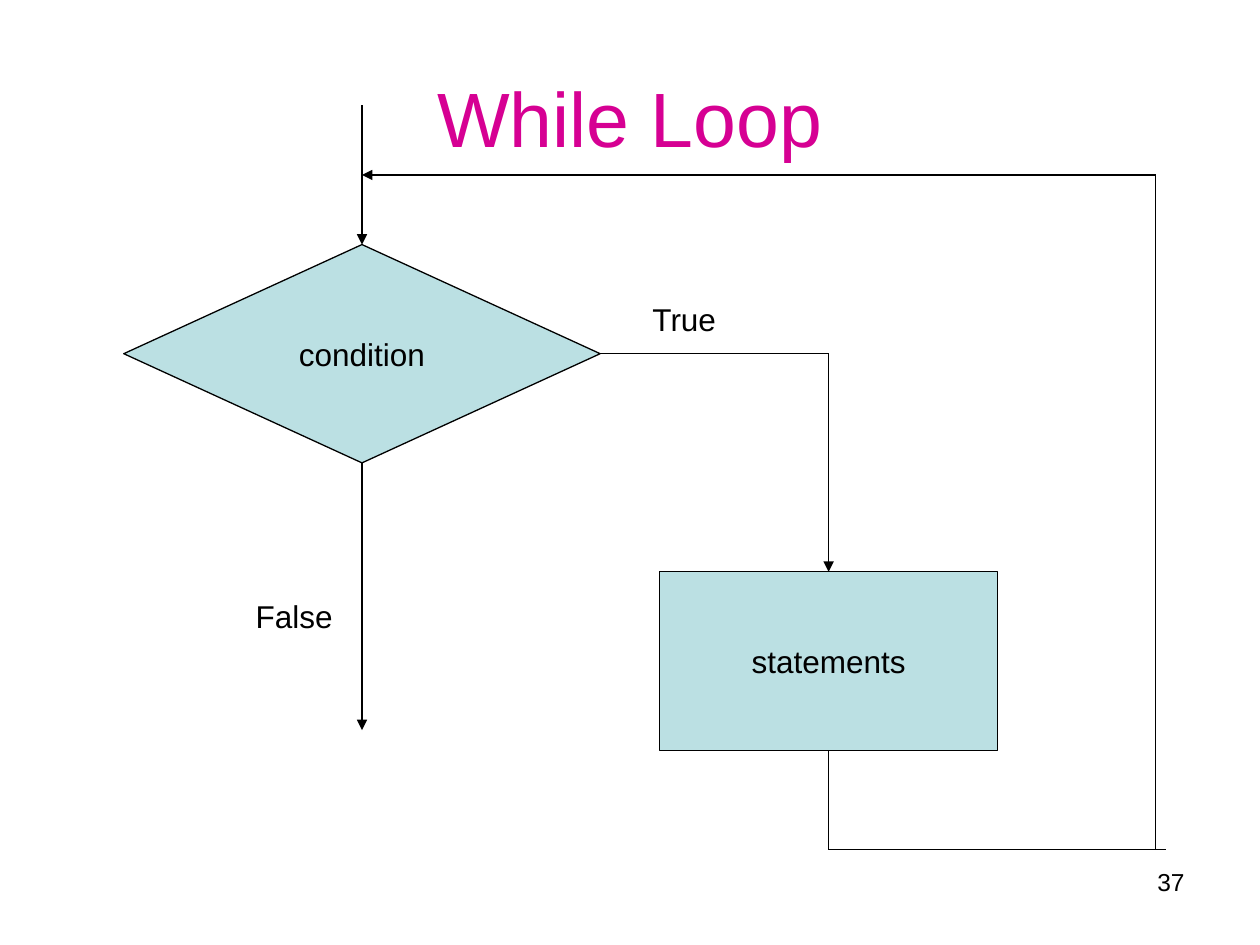
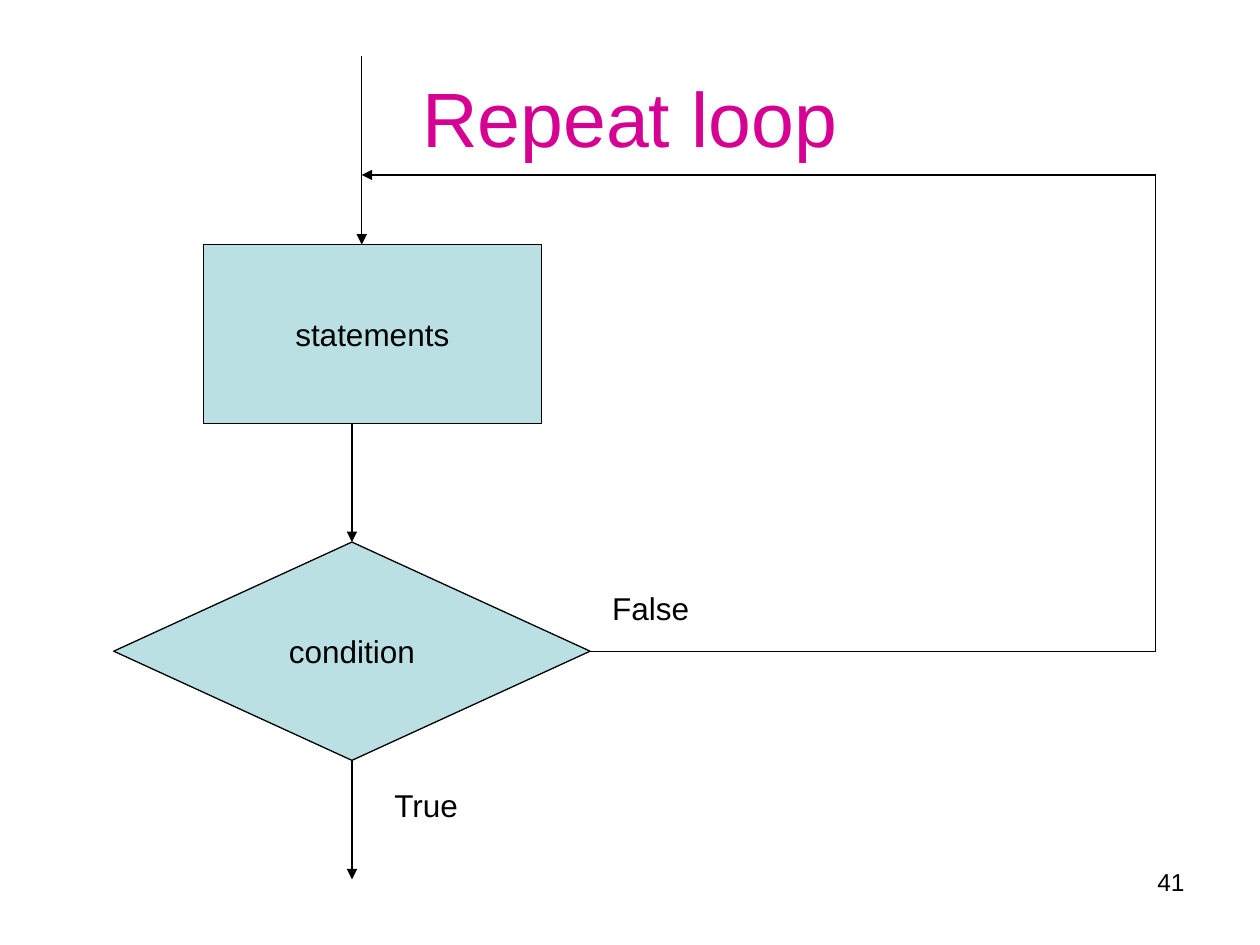
from collections import namedtuple
from itertools import pairwise

from lxml import etree
from pptx import Presentation
from pptx.dml.color import RGBColor
from pptx.enum.shapes import MSO_CONNECTOR, MSO_SHAPE
from pptx.enum.text import MSO_ANCHOR, MSO_AUTO_SIZE, PP_ALIGN
from pptx.oxml.ns import qn
from pptx.util import Pt

STRAIGHT = MSO_CONNECTOR.STRAIGHT
PROCESS = MSO_SHAPE.FLOWCHART_PROCESS
DECISION = MSO_SHAPE.FLOWCHART_DECISION
MIDDLE = MSO_ANCHOR.MIDDLE
LEFT, CENTER, RIGHT = PP_ALIGN.LEFT, PP_ALIGN.CENTER, PP_ALIGN.RIGHT
FIT_SHAPE = MSO_AUTO_SIZE.SHAPE_TO_FIT_TEXT

COLORS = {"title": "D60093", "node": "BBE0E3", "ink": "000000"}
FONT = "Arial"
BODY_SIZE = 18
LINE_WIDTH = 0.75

Box = namedtuple("Box", "left top width height")
TITLE_BOX = Box(36, 21.6, 648, 90)
NUMBER_BOX = Box(516.25, 491.75, 167.75, 37.5)
WHILE_BOX = Box(70.75, 60.25, 589.75, 425.25)
REPEAT_BOX = Box(65, 31.75, 595.5, 470.75)

PROCESS_SIZE = (193, 102.25)
DECISION_SIZE = (272.25, 124.75)
LABEL_WIDTHS = {"True": 79, "False": 62.5}
LABEL_HEIGHT = 29


def color(name):
    return RGBColor.from_string(COLORS[name])


def write(shape, text, size, color_name="ink", alignment=LEFT):
    frame = shape.text_frame
    frame.text = text
    paragraph = frame.paragraphs[0]
    paragraph.alignment = alignment
    font = paragraph.runs[0].font
    font.name = FONT
    font.size = Pt(size)
    font.color.rgb = color(color_name)
    return paragraph


def add_text(slide, box, text, size, **style):
    shape = slide.shapes.add_textbox(*map(Pt, box))
    shape.text_frame.word_wrap = True
    return shape, write(shape, text, size, **style)


def add_title_and_number(slide, title, number):
    shape, _ = add_text(slide, TITLE_BOX, title, 44, color_name="title", alignment=CENTER)
    shape.text_frame.vertical_anchor = MIDDLE
    add_text(slide, NUMBER_BOX, number, 14, alignment=RIGHT)


def add_node(slide, kind, box, text):
    shape = slide.shapes.add_shape(kind, *map(Pt, box))
    shape.shadow.inherit = False
    shape.fill.solid()
    shape.fill.fore_color.rgb = color("node")
    shape.line.color.rgb = color("ink")
    shape.line.width = Pt(LINE_WIDTH)
    shape.text_frame.word_wrap = False
    shape.text_frame.vertical_anchor = MIDDLE
    write(shape, text, BODY_SIZE, alignment=CENTER)


def add_label(slide, left, top, text):
    box = Box(left, top, LABEL_WIDTHS[text], LABEL_HEIGHT)
    shape, paragraph = add_text(slide, box, text, BODY_SIZE)
    shape.text_frame.auto_size = FIT_SHAPE
    paragraph.space_before = Pt(11.2)


def add_path(slide, *points, arrow=True):
    """Join the points with straight lines; the last may end in an arrowhead."""
    for start, end in pairwise(points):
        connector = slide.shapes.add_connector(STRAIGHT, *map(Pt, start + end))
        connector.line.color.rgb = color("ink")
        connector.line.width = Pt(LINE_WIDTH)
        properties = connector._element.spPr
        etree.SubElement(properties, qn("a:effectLst"))
    if arrow:
        etree.SubElement(properties.find(qn("a:ln")), qn("a:tailEnd"), type="triangle")


def draw_while_loop(slide, box):
    right, bottom = box.left + box.width, box.top + box.height
    condition = Box(box.left, box.top + 79.5, *DECISION_SIZE)
    statements = Box(box.left + 306.25, box.top + 266.5, *PROCESS_SIZE)
    entry_x = condition.left + condition.width / 2
    condition_y = condition.top + condition.height / 2
    body_x = statements.left + statements.width / 2
    return_y = box.top + 39.75

    add_node(slide, PROCESS, statements, "statements")
    add_node(slide, DECISION, condition, "condition")
    add_path(slide, (entry_x, box.top), (entry_x, condition.top))
    add_path(slide, (condition.left + condition.width, condition_y),
             (body_x, condition_y), (body_x, statements.top))
    add_path(slide, (body_x, statements.top + statements.height),
             (body_x, bottom), (right + 5.75, bottom), arrow=False)
    add_path(slide, (right, bottom), (right, return_y), (entry_x, return_y))
    add_path(slide, (entry_x, condition.top + condition.height),
             (entry_x, box.top + 357))
    add_label(slide, box.left + 295, box.top + 107.5, "True")
    add_label(slide, box.left + 68.25, box.top + 277.5, "False")


def draw_repeat_loop(slide, box):
    right, bottom = box.left + box.width, box.top + box.height
    statements = Box(box.left + 51.25, box.top + 108, *PROCESS_SIZE)
    condition = Box(box.left, box.top + 278, *DECISION_SIZE)
    entry_x = box.left + 141.75
    condition_x = condition.left + condition.width / 2
    condition_y = condition.top + condition.height / 2
    return_y = box.top + 68.25

    add_node(slide, PROCESS, statements, "statements")
    add_node(slide, DECISION, condition, "condition")
    add_path(slide, (entry_x, box.top), (entry_x, statements.top))
    add_path(slide, (condition_x, condition.top + condition.height),
             (condition_x, bottom))
    add_path(slide, (condition.left + condition.width, condition_y),
             (right, condition_y), (right, return_y), (entry_x, return_y))
    add_path(slide, (condition_x, statements.top + statements.height),
             (condition_x, condition.top))
    add_label(slide, box.left + 153.25, box.top + 414, "True")
    add_label(slide, box.left + 277.75, box.top + 301, "False")


def main():
    presentation = Presentation()
    presentation.slide_width = Pt(720)
    presentation.slide_height = Pt(540)
    blank = presentation.slide_layouts[6]
    for title, number, draw, box in (
        ("While Loop", "37", draw_while_loop, WHILE_BOX),
        ("Repeat loop", "41", draw_repeat_loop, REPEAT_BOX),
    ):
        slide = presentation.slides.add_slide(blank)
        add_title_and_number(slide, title, number)
        draw(slide, box)
    presentation.save("out.pptx")


if __name__ == "__main__":
    main()
